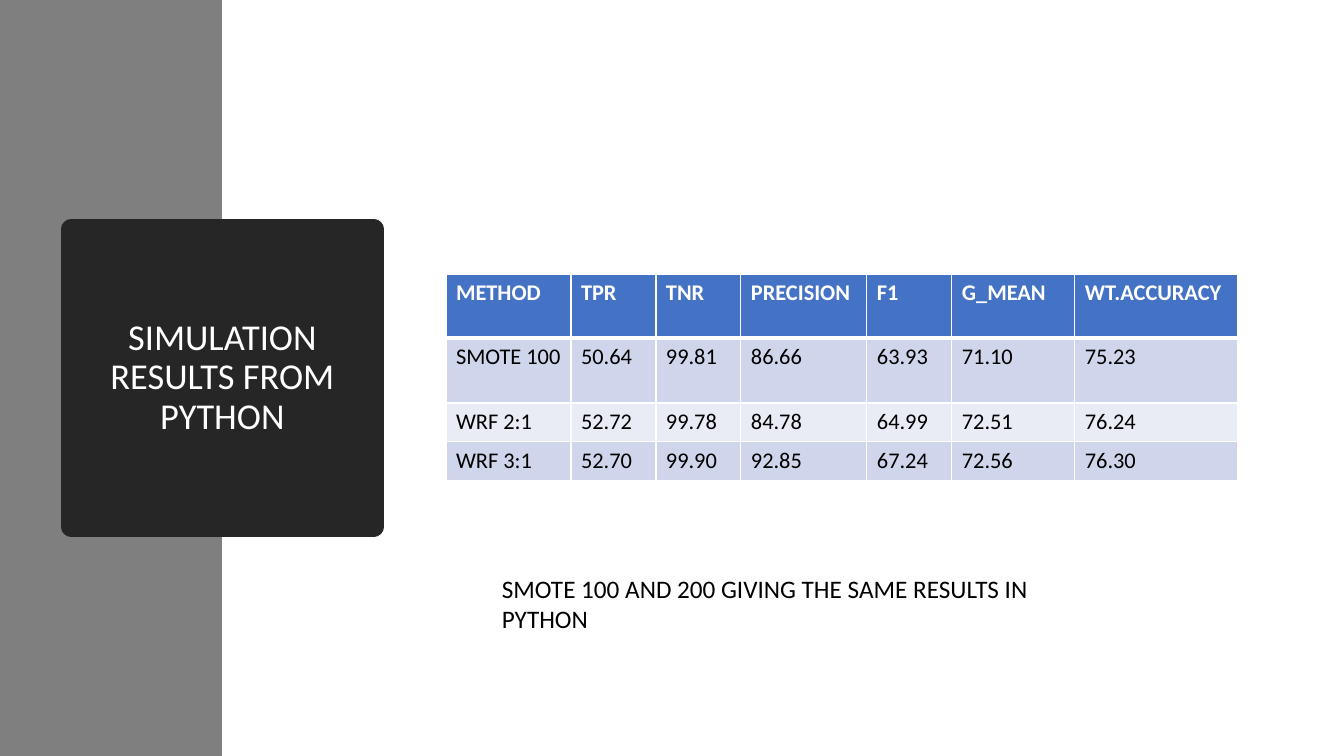
import pptx
import pptx.util
import pptx.dml.color
import pptx.enum.shapes
import pptx.enum.text
from lxml import etree

TITLE = "SIMULATION RESULTS FROM PYTHON"
NOTE = "SMOTE 100 AND 200 GIVING THE SAME RESULTS IN PYTHON"
ROWS = [
    ("METHOD", "TPR", "TNR", "PRECISION", "F1", "G_MEAN", "WT.ACCURACY"),
    ("SMOTE 100", "50.64", "99.81", "86.66", "63.93", "71.10", "75.23"),
    ("WRF 2:1", "52.72", "99.78", "84.78", "64.99", "72.51", "76.24"),
    ("WRF 3:1", "52.70", "99.90", "92.85", "67.24", "72.56", "76.30"),
]
WIDTHS = [125, 85, 85, 126, 85, 123, 163]
HEIGHTS = [64, 65, 39, 39]

SIZE = (1344, 756)
BAND = (0, 0, 222, 756)
CARD = (71, 229, 303, 298)
GRID = (446, 274, sum(WIDTHS), sum(HEIGHTS))
FOOT = (492, 568, 566, 72)
COLORS = {"band": "7F7F7F", "card": "262626", "head": "4472C4", "odd": "CFD5EA",
          "even": "E9EBF5", "white": "FFFFFF", "black": "000000"}
FONTS = {
    "title": {"size": 26, "bold": False, "color": "white"},
    "head": {"size": 16, "bold": True, "color": "white"},
    "body": {"size": 16, "bold": False, "color": "black"},
    "note": {"size": 18, "bold": False, "color": "black"},
}
RECT = pptx.enum.shapes.MSO_SHAPE.RECTANGLE
NS = "http://schemas.openxmlformats.org/drawingml/2006/main"


def px(*vals):
    return [round(v * 914400 / 100.8) for v in vals]


def rgb(name):
    return pptx.dml.color.RGBColor.from_string(COLORS[name])


def paint(part, name):
    part.fill.solid()
    part.fill.fore_color.rgb = rgb(name)


def write(frame, text, kind):
    frame.word_wrap = True
    run = frame.paragraphs[0].add_run()
    run.text = text
    form = FONTS[kind]
    font = {"name": "Calibri", "size": pptx.util.Pt(form["size"]), "bold": form["bold"]}
    for key, val in font.items():
        setattr(run.font, key, val)
    run.font.color.rgb = rgb(form["color"])


def box(slide, area, name):
    shape = slide.shapes.add_shape(RECT, *px(*area))
    shape.shadow.inherit = False
    paint(shape, name)
    shape.line.fill.background()
    return shape


def edge(cell, row):
    """Give a cell white borders, thick where the header meets the body."""
    thick = {0: "lnB", 1: "lnT"}.get(row)
    props = cell._tc.get_or_add_tcPr()
    for spot, tag in enumerate(("lnL", "lnR", "lnT", "lnB")):
        width = pptx.util.Pt(3 if tag == thick else 1)
        line = etree.Element(f"{{{NS}}}{tag}", w=str(width))
        fill = etree.SubElement(line, f"{{{NS}}}solidFill")
        etree.SubElement(fill, f"{{{NS}}}srgbClr", val=COLORS["white"])
        props.insert(spot, line)


def card(slide):
    shape = box(slide, CARD, "card")
    shape.line.color.rgb = rgb("card")
    shape.line.width = pptx.util.Pt(13.75)
    etree.SubElement(shape.line._ln, f"{{{NS}}}round")
    frame = shape.text_frame
    write(frame, TITLE, "title")
    frame.vertical_anchor = pptx.enum.text.MSO_ANCHOR.MIDDLE
    para = frame.paragraphs[0]
    para.alignment = pptx.enum.text.PP_ALIGN.CENTER
    para.line_spacing = 0.9


def grid(slide):
    table = slide.shapes.add_table(len(ROWS), len(WIDTHS), *px(*GRID)).table
    for col, width in zip(table.columns, px(*WIDTHS)):
        col.width = width
    for row, height in zip(table.rows, px(*HEIGHTS)):
        row.height = height
    for r, texts in enumerate(ROWS):
        fill = "head" if r == 0 else ("even", "odd")[r % 2]
        for c, text in enumerate(texts):
            cell = table.cell(r, c)
            write(cell.text_frame, text, "body" if r else "head")
            paint(cell, fill)
            edge(cell, r)


def main():
    deck = pptx.Presentation()
    deck.slide_width, deck.slide_height = px(*SIZE)
    slide = deck.slides.add_slide(deck.slide_layouts[6])
    box(slide, BAND, "band")
    card(slide)
    grid(slide)
    write(slide.shapes.add_textbox(*px(*FOOT)).text_frame, NOTE, "note")
    deck.save("out.pptx")


if __name__ == "__main__":
    main()
